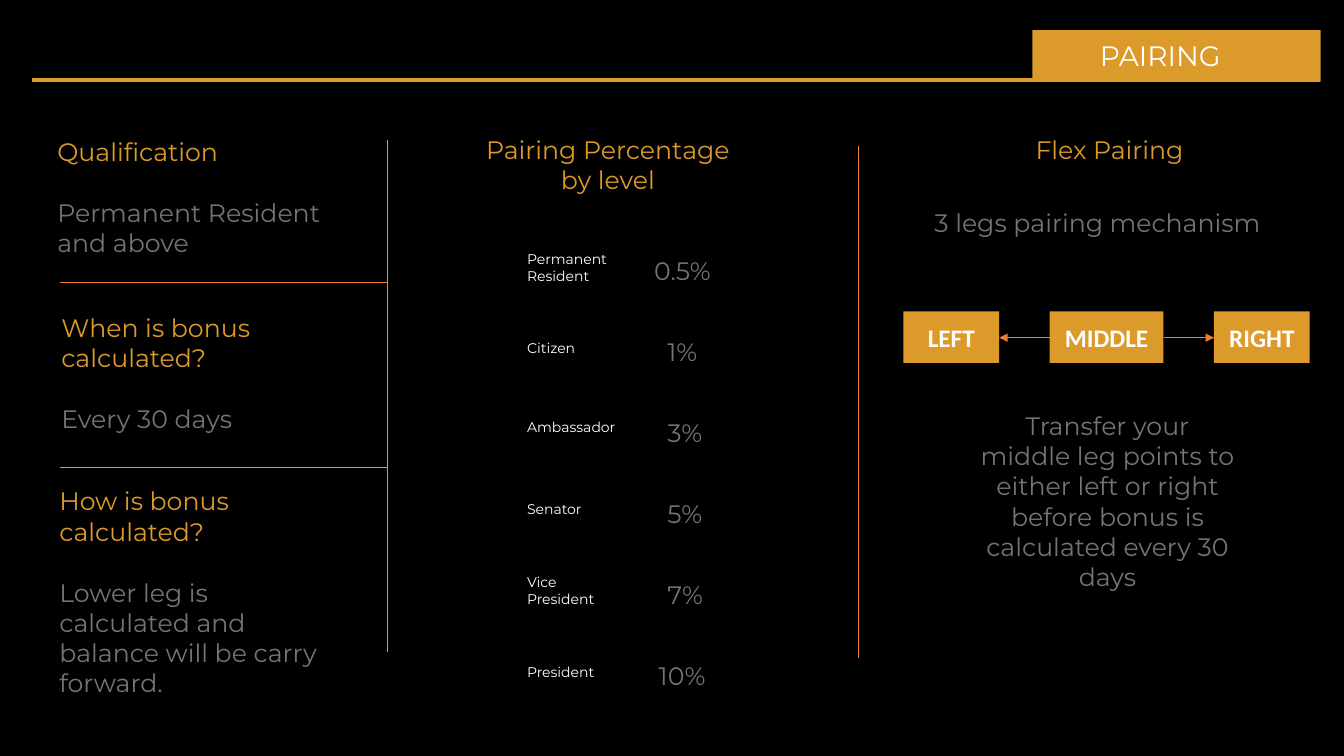
from pptx import Presentation
from pptx.dml.color import RGBColor
from pptx.enum.shapes import MSO_CONNECTOR, MSO_SHAPE
from pptx.enum.text import MSO_ANCHOR, MSO_AUTO_SIZE, PP_ALIGN
from pptx.oxml.ns import qn
from pptx.util import Inches, Pt
from lxml.etree import SubElement

GOLD, GREY, WHITE, BLACK = "DB9A29", "747475", "FFFFFF", "000000"
ORANGE, SILVER = "ED7D31", "A5A5A5"
FONT = "Montserrat"

SECTIONS = [
    (0.47, 1.3, 1.31, "Qualification", "Permanent Resident and above"),
    (0.51, 3.05, 1.31, "When is bonus calculated?", "Every 30 days"),
    (0.49, 4.77, 2.22, "How is bonus calculated?",
     "Lower leg is calculated and balance will be carry forward."),
]
LEVELS = [
    (["Permanent", "Resident"], 2.44, 1.04, "0.5%", 0.88),
    (["Citizen"], 3.32, 0.73, "1%", 0.62),
    (["Ambassador"], 4.1, 1.15, "3%", 0.62),
    (["Senator"], 4.92, 0.8, "5%", 0.62),
    (["Vice", "President"], 5.64, 0.94, "7%", 0.62),
    (["President"], 6.53, 0.94, "10%", 0.79),
]
LEGS = [("LEFT", 8.96, 0.95), ("MIDDLE", 10.41, 1.13), ("RIGHT", 12.04, 0.95)]
DIVIDERS = [
    (3.84, 1.39, 3.84, 6.47, SILVER),
    (8.51, 1.45, 8.51, 6.53, ORANGE),
    (3.84, 2.8, 0.6, 2.8, ORANGE),
    (3.84, 4.64, 0.6, 4.64, SILVER),
]


def rgb(color):
    """Turn a hex string into a colour."""
    return RGBColor.from_string(color)


def add_run(paragraph, text, size, color, font=FONT, bold=False):
    """Add one formatted run to a paragraph."""
    run = paragraph.add_run()
    run.text = text
    run.font.size = Pt(size)
    run.font.name = font
    run.font.bold = bold
    run.font.color.rgb = rgb(color)


def add_text(slide, left, top, width, height, lines, size=18,
             align=PP_ALIGN.LEFT, wrap=False, gap=0):
    """Add a text box with one paragraph per (text, colour) pair."""
    box = slide.shapes.add_textbox(Inches(left), Inches(top), Inches(width), Inches(height))
    frame = box.text_frame
    frame.word_wrap = wrap
    frame.auto_size = MSO_AUTO_SIZE.SHAPE_TO_FIT_TEXT
    for index, (text, color) in enumerate(lines):
        paragraph = frame.add_paragraph() if index else frame.paragraphs[0]
        paragraph.alignment = align
        if index and gap:
            paragraph.space_before = Pt(gap)
        add_run(paragraph, text, size, color)


def add_box(slide, left, top, width, height, label=""):
    """Add a gold rectangle, with a centred label if one is given."""
    shape = slide.shapes.add_shape(
        MSO_SHAPE.RECTANGLE, Inches(left), Inches(top), Inches(width), Inches(height))
    shape.shadow.inherit = False
    shape.fill.solid()
    shape.fill.fore_color.rgb = rgb(GOLD)
    shape.line.fill.background()
    if label:
        shape.text_frame.vertical_anchor = MSO_ANCHOR.MIDDLE
        paragraph = shape.text_frame.paragraphs[0]
        paragraph.alignment = PP_ALIGN.CENTER
        add_run(paragraph, label, 18, WHITE, "Calibri", True)
    return shape


def add_line(slide, x1, y1, x2, y2, color, width=0.5, arrow=False):
    """Add a straight line, with an arrowhead at its end on request."""
    line = slide.shapes.add_connector(
        MSO_CONNECTOR.STRAIGHT, Inches(x1), Inches(y1), Inches(x2), Inches(y2))
    line.line.color.rgb = rgb(color)
    line.line.width = Pt(width)
    properties = line.element.spPr
    if arrow:
        SubElement(properties.find(qn("a:ln")), qn("a:tailEnd"), type="triangle")
    SubElement(properties, qn("a:effectLst"))


def add_header(slide):
    """Place the title on its gold tab above the gold rule."""
    tab = add_box(slide, 10.24, 0.3, 2.86, 0.51)
    title = slide.shapes.title
    title.left, title.top = Inches(10.81), Inches(0.33)
    title.width, title.height = Inches(1.5), Inches(0.44)
    frame = title.text_frame
    frame.word_wrap = False
    frame.auto_size = MSO_AUTO_SIZE.SHAPE_TO_FIT_TEXT
    frame.vertical_anchor = MSO_ANCHOR.TOP
    frame.paragraphs[0].alignment = PP_ALIGN.LEFT
    add_run(frame.paragraphs[0], "PAIRING", 20, WHITE)
    tab.element.addnext(title.element)
    add_line(slide, 0.32, 0.79, 13.09, 0.79, GOLD, 3)


def add_sections(slide):
    """Add the questions and answers of the left column."""
    for left, top, height, heading, answer in SECTIONS:
        add_text(slide, left, top, 2.89, height,
                 [(heading, GOLD), (answer, GREY)], wrap=True, gap=22)


def add_levels(slide):
    """Add the pairing percentage of each level."""
    add_text(slide, 4.57, 1.28, 2.92, 0.71,
             [("Pairing Percentage", GOLD), ("by level", GOLD)], align=PP_ALIGN.CENTER)
    for index, (names, top, width, percent, percent_width) in enumerate(LEVELS):
        add_text(slide, 5.13, top, width, 0.1 + 0.17 * len(names),
                 [(name, WHITE) for name in names], size=10)
        add_text(slide, 6.83 - percent_width / 2, 2.48 + 0.805 * index,
                 percent_width, 0.4, [(percent, GREY)])


def add_flex_pairing(slide):
    """Add the three-leg diagram and its explanations."""
    add_text(slide, 10.09, 1.28, 1.83, 0.4, [("Flex Pairing", GOLD)], align=PP_ALIGN.CENTER)
    add_text(slide, 9.17, 2.01, 3.74, 0.4, [("3 legs pairing mechanism", GREY)])
    for label, left, width in LEGS:
        add_box(slide, left, 3.09, width, 0.51, label)
    for start, end in ((11.54, 12.04), (10.41, 9.91)):
        add_line(slide, start, 3.35, end, 3.35, ORANGE, arrow=True)
    add_text(slide, 9.62, 4.02, 2.73, 1.92,
             [("Transfer your middle leg points to either left or right before "
               "bonus is calculated every 30 days", GREY)],
             align=PP_ALIGN.CENTER, wrap=True)


def main():
    """Build and save the slide."""
    presentation = Presentation()
    presentation.slide_width = Inches(13.33)
    presentation.slide_height = Inches(7.5)
    slide = presentation.slides.add_slide(presentation.slide_layouts[5])
    slide.background.fill.solid()
    slide.background.fill.fore_color.rgb = rgb(BLACK)
    add_header(slide)
    add_sections(slide)
    add_levels(slide)
    for divider in DIVIDERS:
        add_line(slide, *divider)
    add_flex_pairing(slide)
    presentation.save("out.pptx")


if __name__ == "__main__":
    main()
